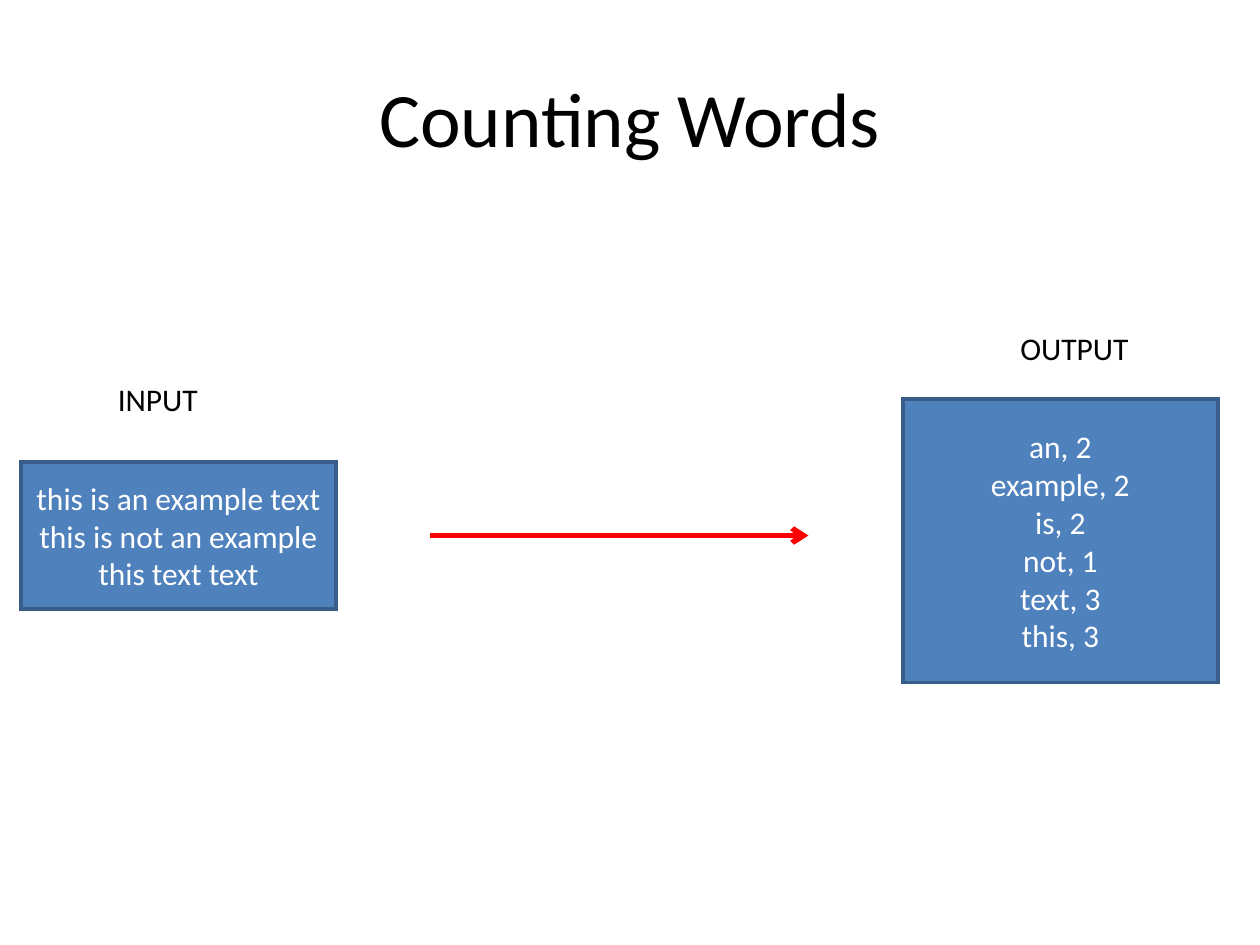
import dataclasses

import lxml.etree
import pptx
import pptx.dml.color
import pptx.enum.shapes
import pptx.enum.text
import pptx.oxml.ns
import pptx.shapes.base
import pptx.slide
import pptx.text.text
import pptx.util

Pt = pptx.util.Pt
RGB = pptx.dml.color.RGBColor
Align = pptx.enum.text.PP_ALIGN
Anchor = pptx.enum.text.MSO_ANCHOR
qn = pptx.oxml.ns.qn


@dataclasses.dataclass(frozen=True)
class Theme:
    font: str = "Calibri"
    title_size: float = 44
    text_size: float = 18
    ink: RGB = RGB(0x00, 0x00, 0x00)
    box_text: RGB = RGB(0xFF, 0xFF, 0xFF)
    box_fill: RGB = RGB(0x4F, 0x81, 0xBD)
    box_line: RGB = RGB(0x38, 0x5D, 0x8A)
    arrow: RGB = RGB(0xFF, 0x00, 0x00)
    box_line_width: float = 2
    arrow_width: float = 3


@dataclasses.dataclass(frozen=True)
class Area:
    """A rectangle in points."""
    left: float
    top: float
    width: float
    height: float

    def place(self, shape: pptx.shapes.base.BaseShape) -> None:
        shape.left, shape.top, shape.width, shape.height = self.lengths()

    def lengths(self) -> list[pptx.util.Length]:
        return [Pt(value) for value in dataclasses.astuple(self)]


@dataclasses.dataclass(frozen=True)
class Stage:
    """A labelled box of text lines."""
    label: str
    label_area: Area
    lines: tuple[str, ...]
    box_area: Area


THEME = Theme()
TITLE_AREA = Area(36, 21.6, 648, 90)
STAGES = (
    Stage("INPUT", Area(60.2, 213.5, 62, 29),
          ("this is an example text", "this is not an example", "this text text"),
          Area(12, 264, 180, 84)),
    Stage("OUTPUT", Area(576, 184.5, 78, 29),
          ("an, 2", "example, 2", "is, 2", "not, 1", "text, 3", "this, 3"),
          Area(516, 228, 180, 162)),
)
ARROW_START, ARROW_END, ARROW_Y = 246, 462, 306


def write(frame: pptx.text.text.TextFrame, lines: tuple[str, ...], size: float,
          color: RGB, align: Align) -> None:
    frame.text = "\n".join(lines)
    for paragraph in frame.paragraphs:
        paragraph.alignment = align
        paragraph.font.name = THEME.font
        paragraph.font.size = Pt(size)
        paragraph.font.color.rgb = color


def draw_stage(slide: pptx.slide.Slide, stage: Stage) -> None:
    box = slide.shapes.add_shape(
        pptx.enum.shapes.MSO_SHAPE.RECTANGLE, *stage.box_area.lengths())
    box.shadow.inherit = False
    box.fill.solid()
    box.fill.fore_color.rgb = THEME.box_fill
    box.line.color.rgb = THEME.box_line
    box.line.width = Pt(THEME.box_line_width)
    # Square outline corners
    lxml.etree.SubElement(box.line._get_or_add_ln(), qn("a:miter"), lim="800000")
    box.text_frame.word_wrap = True
    box.text_frame.vertical_anchor = Anchor.MIDDLE
    write(box.text_frame, stage.lines, THEME.text_size, THEME.box_text, Align.CENTER)

    # Label on a single line
    label = slide.shapes.add_textbox(*stage.label_area.lengths())
    label.text_frame.word_wrap = False
    label.text_frame.auto_size = pptx.enum.text.MSO_AUTO_SIZE.SHAPE_TO_FIT_TEXT
    write(label.text_frame, (stage.label,), THEME.text_size, THEME.ink, Align.LEFT)


def draw_arrow(slide: pptx.slide.Slide, start: float, end: float, y: float) -> None:
    arrow = slide.shapes.add_connector(
        pptx.enum.shapes.MSO_CONNECTOR.STRAIGHT, Pt(start), Pt(y), Pt(end), Pt(y))
    arrow.line.color.rgb = THEME.arrow
    arrow.line.width = Pt(THEME.arrow_width)
    lxml.etree.SubElement(arrow.line._get_or_add_ln(), qn("a:tailEnd"), type="arrow")
    lxml.etree.SubElement(arrow._element.spPr, qn("a:effectLst"))


def main() -> None:
    deck = pptx.Presentation()
    deck.slide_width, deck.slide_height = Pt(720), Pt(540)
    slide = deck.slides.add_slide(deck.slide_layouts.get_by_name("Title Only"))

    # Title
    title = slide.shapes.title
    TITLE_AREA.place(title)
    title.text_frame.vertical_anchor = Anchor.MIDDLE
    write(title.text_frame, ("Counting Words",), THEME.title_size, THEME.ink, Align.CENTER)

    # Input text, arrow, and word counts
    draw_arrow(slide, ARROW_START, ARROW_END, ARROW_Y)
    for stage in STAGES:
        draw_stage(slide, stage)

    deck.save("out.pptx")


if __name__ == "__main__":
    main()
